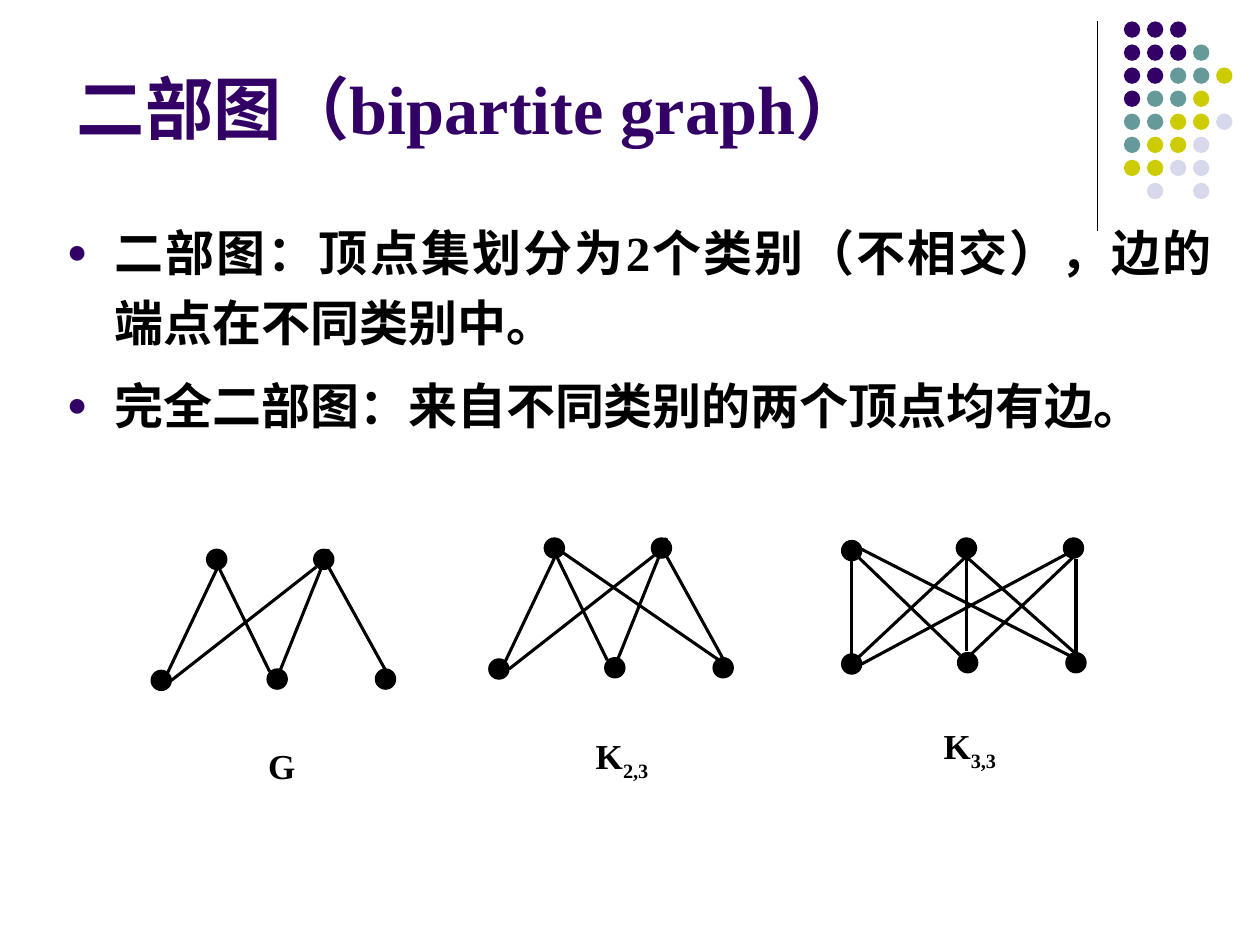
from lxml import etree
from pptx import Presentation
from pptx.dml.color import RGBColor
from pptx.enum import shapes, text
from pptx.oxml import ns
from pptx.util import Inches, Pt

FONT = "Times New Roman"
COLORS = {
    "ink": "000000",
    "purple": "330066",
    "teal": "669999",
    "olive": "CCCC00",
    "mist": "D8D8EC",
}

# Corner ornament: one letter per dot, the first letter of its colour
DOT_ROWS = ["ppp", "pppt", "pptto", "ptto", "ttoom", "toom", "oomm", " m m"]
DOT_COLORS = {name[0]: name for name in COLORS}
DOT_LEFT, DOT_TOP, DOT_PITCH, DOT_SIZE = 8.92, 0.17, 0.183, 0.13

# Graphs: inches from the top left corner of each drawing
VERTEX_SIZE = 0.16
VERTICES_2_3 = [(0.44, 0), (1.29, 0), (0, 0.96), (0.92, 0.95), (1.78, 0.95)]
EDGES_G = [
    (0.52, 0.11, 0.94, 0.97), (1.38, 0.09, 1.86, 0.96), (1.02, 0.97, 1.41, 0),
    (0.52, 0.16, 0.13, 0.98), (1.31, 0.14, 0.16, 1.04),
]
EDGES_2_3 = EDGES_G + [(0.55, 0.09, 1.9, 1.02)]
VERTICES_3_3 = [(0, 0.02), (0.91, 0), (1.76, 0),
                (0, 0.92), (0.92, 0.91), (1.78, 0.91)]
EDGES_3_3 = [
    (0.08, 0.17, 0.08, 0.96), (0.13, 0.15, 0.94, 0.93), (0.16, 0.09, 1.9, 0.98),
    (0.13, 0.95, 1.07, 0.07), (0.99, 0.11, 0.99, 0.9), (0.99, 0.15, 1.86, 0.92),
    (1.78, 0.13, 0.16, 1), (1.02, 0.93, 1.84, 0.15), (1.86, 0.17, 1.86, 0.96),
]


def color(name):
    return RGBColor.from_string(COLORS[name])


def add_run(paragraph, words, size, color_name="ink"):
    run = paragraph.add_run()
    run.text = words
    run.font.name = FONT
    run.font.size = Pt(size)
    run.font.bold = True
    run.font.color.rgb = color(color_name)
    return run


def place(shape, left, top, width, height):
    shape.left, shape.top = Inches(left), Inches(top)
    shape.width, shape.height = Inches(width), Inches(height)


def add_line(slide, x1, y1, x2, y2, weight):
    line = slide.shapes.add_connector(
        shapes.MSO_CONNECTOR.STRAIGHT, *map(Inches, (x1, y1, x2, y2)))
    line.line.color.rgb = color("ink")
    line.line.width = Pt(weight)
    etree.SubElement(line._element.spPr, ns.qn("a:effectLst"))


def add_dot(slide, kind, left, top, size, color_name):
    dot = slide.shapes.add_shape(kind, *map(Inches, (left, top, size, size)))
    dot.shadow.inherit = False
    dot.fill.solid()
    dot.fill.fore_color.rgb = color(color_name)
    dot.line.fill.background()
    return dot


def add_bullet(paragraph):
    properties = paragraph._p.get_or_add_pPr()
    properties.set("marL", str(Inches(0.38)))
    properties.set("indent", str(-Inches(0.38)))
    bullet_color = etree.SubElement(properties, ns.qn("a:buClr"))
    etree.SubElement(bullet_color, ns.qn("a:srgbClr"), val=COLORS["purple"])
    etree.SubElement(properties, ns.qn("a:buSzPct"), val="70000")
    etree.SubElement(properties, ns.qn("a:buFont"), typeface=FONT)
    etree.SubElement(properties, ns.qn("a:buChar"), char="●")


def add_ornament(slide):
    add_line(slide, 8.71, 0.17, 8.71, 1.83, 0.75)
    for row, letters in enumerate(DOT_ROWS):
        for column, letter in enumerate(letters):
            if letter != " ":
                add_dot(slide, shapes.MSO_SHAPE.OVAL,
                        DOT_LEFT + column * DOT_PITCH,
                        DOT_TOP + row * DOT_PITCH,
                        DOT_SIZE, DOT_COLORS[letter])


def fill_title(slide, words):
    title = slide.shapes.title
    place(title, 0.51, 0.36, 8.25, 0.87)
    frame = title.text_frame
    frame.auto_size = text.MSO_AUTO_SIZE.NONE
    frame.vertical_anchor = text.MSO_ANCHOR.BOTTOM
    frame.paragraphs[0].alignment = text.PP_ALIGN.LEFT
    add_run(frame.paragraphs[0], words, 39, "purple")


def fill_body(slide, items):
    body = slide.placeholders[1]
    place(body, 0.43, 1.62, 9.29, 1.89)
    frame = body.text_frame
    frame.auto_size = text.MSO_AUTO_SIZE.NONE
    for index, item in enumerate(items):
        paragraph = frame.add_paragraph() if index else frame.paragraphs[0]
        paragraph.alignment = text.PP_ALIGN.JUSTIFY
        paragraph.line_spacing = 1.2
        paragraph.space_before = Pt(7)
        add_bullet(paragraph)
        add_run(paragraph, item, 28)


def add_label(slide, left, top, letter, subscript):
    box = slide.shapes.add_textbox(*map(Inches, (left, top, 0.74, 0.5)))
    box.text_frame.word_wrap = True
    paragraph = box.text_frame.paragraphs[0]
    paragraph.alignment = text.PP_ALIGN.JUSTIFY
    add_run(paragraph, letter, 20)
    if subscript:
        run = add_run(paragraph, subscript, 20)
        run._r.get_or_add_rPr().set("baseline", "-25000")


def add_graph(slide, left, top, vertices, edges, label_at, letter, subscript=""):
    for x1, y1, x2, y2 in edges:
        add_line(slide, left + x1, top + y1, left + x2, top + y2, 1.75)
    for x, y in vertices:
        vertex = add_dot(slide, shapes.MSO_SHAPE.FLOWCHART_CONNECTOR,
                         left + x, top + y, VERTEX_SIZE, "ink")
        vertex.line.color.rgb = color("ink")
        vertex.line.width = Pt(0.75)
    add_label(slide, left + label_at[0], top + label_at[1], letter, subscript)


def main():
    presentation = Presentation()
    presentation.slide_width, presentation.slide_height = Inches(10), Inches(7.5)
    slide = presentation.slides.add_slide(presentation.slide_layouts[1])

    # Ornament and text
    add_ornament(slide)
    fill_title(slide, "二部图（bipartite graph）")
    fill_body(slide, [
        "二部图：顶点集划分为2个类别（不相交），边的端点在不同类别中。",
        "完全二部图：来自不同类别的两个顶点均有边。",
    ])

    # Three bipartite graphs
    add_graph(slide, 1.2, 4.36, VERTICES_2_3, EDGES_G, (0.83, 1.5), "G")
    add_graph(slide, 3.88, 4.27, VERTICES_2_3, EDGES_2_3, (0.75, 1.51), "K", "2,3")
    add_graph(slide, 6.68, 4.27, VERTICES_3_3, EDGES_3_3, (0.71, 1.43), "K", "3,3")

    presentation.save("out.pptx")


if __name__ == "__main__":
    main()
